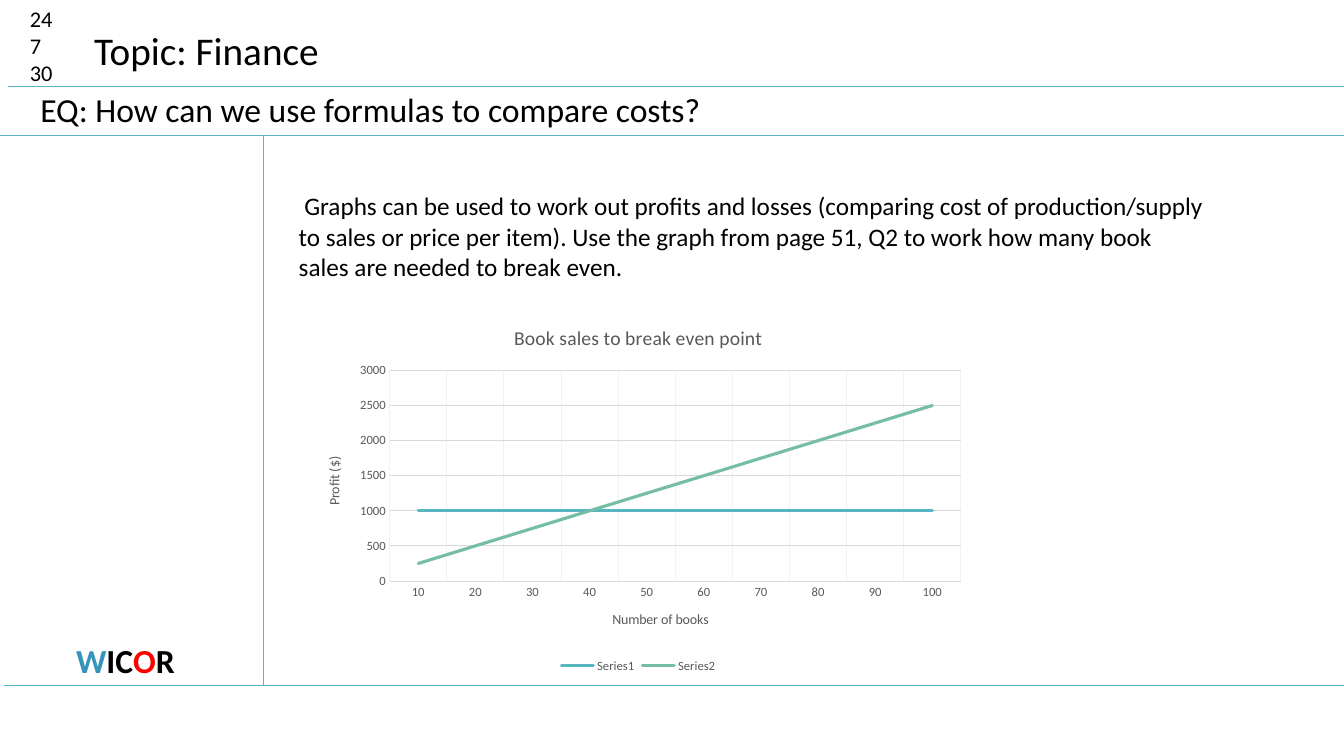
from lxml import etree
from pptx import Presentation
from pptx.chart.data import CategoryChartData
from pptx.dml.color import RGBColor
from pptx.enum.chart import XL_CHART_TYPE, XL_LEGEND_POSITION, XL_TICK_MARK
from pptx.enum.shapes import MSO_CONNECTOR
from pptx.enum.text import MSO_ANCHOR, PP_ALIGN
from pptx.oxml import parse_xml
from pptx.oxml.ns import nsdecls, qn
from pptx.util import Emu, Pt

LINE_CHART = XL_CHART_TYPE.LINE
LEGEND_BOTTOM = XL_LEGEND_POSITION.BOTTOM
NO_TICKS = XL_TICK_MARK.NONE
STRAIGHT = MSO_CONNECTOR.STRAIGHT
TOP = MSO_ANCHOR.TOP
LEFT, CENTER = PP_ALIGN.LEFT, PP_ALIGN.CENTER

FONT = "Calibri"
COLORS = {
    "text": "000000", "rule": "58B6C0", "blue": "3494BA", "red": "FF0000",
    "label": "595959", "grid": "D9D9D9", "faint": "F2F2F2",
    "costs": "58B6C0", "sales": "75BDA7",
}
WIDTH, HEIGHT = 1280, 720
HEADER_RULE, QUESTION_RULE, FOOTER_RULE, MARGIN_RULE = 82, 129, 653, 251


def px(length):
    return Emu(length * 9525)


def color(name):
    return RGBColor.from_string(COLORS[name])


def style_font(font, size, name="text", bold=False):
    font.name = FONT
    font.size = Pt(size)
    font.bold = bold
    font.color.rgb = color(name)


def fill_text(shape, paragraphs, size, align=LEFT, bold=False, wrap=True):
    """Each paragraph is a list of (text, colour name) runs."""
    frame = shape.text_frame
    frame.word_wrap = wrap
    frame.vertical_anchor = TOP
    for index, runs in enumerate(paragraphs):
        paragraph = frame.add_paragraph() if index else frame.paragraphs[0]
        paragraph.alignment = align
        for text, name in runs:
            run = paragraph.add_run()
            run.text = text
            style_font(run.font, size, name, bold)


def add_text(slide, box, paragraphs, size, **options):
    shape = slide.shapes.add_textbox(*map(px, box))
    fill_text(shape, paragraphs, size, **options)


def add_rule(slide, *ends):
    rule = slide.shapes.add_connector(STRAIGHT, *map(px, ends))
    rule.line.color.rgb = color("rule")
    rule.line.width = Pt(0.75)
    etree.SubElement(rule._element.spPr, qn("a:effectLst"))


def add_page_rules(slide):
    add_rule(slide, 8, HEADER_RULE, WIDTH, HEADER_RULE)
    add_rule(slide, 0, QUESTION_RULE, WIDTH, QUESTION_RULE)
    add_rule(slide, MARGIN_RULE, QUESTION_RULE, MARGIN_RULE, FOOTER_RULE)
    add_rule(slide, 4, FOOTER_RULE, WIDTH, FOOTER_RULE)


def add_header(slide, left, top):
    date = [[(part, "text")] for part in ("24", "7", "30")]
    add_text(slide, (left, top, 60, 87), date, 16)
    title = slide.shapes.title
    title.left, title.top, title.width, title.height = map(
        px, (left + 61, top + 20, 235, 55))
    fill_text(title, [[("Topic: Finance", "text")]], 28, wrap=False)
    question = "EQ: How can we use formulas to compare costs?"
    add_text(slide, (left + 10, top + 80, 1117, 52), [[(question, "text")]], 24)


def style_axis(axis, title, grid):
    style_font(axis.tick_labels.font, 9, "label")
    axis.major_tick_mark = axis.minor_tick_mark = NO_TICKS
    axis.has_major_gridlines = True
    axis.major_gridlines.format.line.color.rgb = color(grid)
    axis.major_gridlines.format.line.width = Pt(0.75)
    add_chart_title(axis.axis_title, title, 10)


def add_chart_title(title, text, size):
    run = title.text_frame.paragraphs[0].add_run()
    run.text = text
    style_font(run.font, size, "label")


def set_plot_layout(chart, **fractions):
    """Fix the inner plot area as fractions of the chart's size."""
    parts = "".join(f'<c:{key} val="{value}"/>' for key, value in fractions.items())
    layout = parse_xml(
        f'<c:layout {nsdecls("c")}><c:manualLayout><c:layoutTarget val="inner"/>'
        f'<c:xMode val="edge"/><c:yMode val="edge"/>{parts}'
        '</c:manualLayout></c:layout>')
    plot_area = chart._chartSpace.find(".//" + qn("c:plotArea"))
    for old_layout in plot_area.findall(qn("c:layout")):
        plot_area.remove(old_layout)
    plot_area.insert(0, layout)


def add_break_even_chart(slide, box):
    books = range(10, 101, 10)
    data = CategoryChartData()
    data.categories = [str(count) for count in books]
    data.add_series("Series1", [1000 for _ in books])
    data.add_series("Series2", [25 * count for count in books])
    chart = slide.shapes.add_chart(LINE_CHART, *map(px, box), data).chart
    style_font(chart.font, 10)
    chart.has_title = True
    add_chart_title(chart.chart_title, "Book sales to break even point", 14)
    chart.chart_title.include_in_layout = False

    style_axis(chart.category_axis, "Number of books", "faint")
    chart.category_axis.format.line.color.rgb = color("grid")
    chart.category_axis.format.line.width = Pt(0.75)
    style_axis(chart.value_axis, "Profit ($)", "grid")
    chart.value_axis.format.line.fill.background()
    chart.value_axis.minimum_scale = 0
    chart.value_axis.maximum_scale = 3000
    chart.value_axis.major_unit = 500

    chart.has_legend = True
    chart.legend.position = LEGEND_BOTTOM
    chart.legend.include_in_layout = False
    style_font(chart.legend.font, 9, "label")
    plot = chart.plots[0]
    plot.vary_by_categories = False
    for series, name in zip(plot.series, ("costs", "sales")):
        series.smooth = False
        series.format.line.color.rgb = color(name)
        series.format.line.width = Pt(2.25)
        series.format.line._ln.set("cap", "rnd")
    set_plot_layout(chart, x=0.13, y=0.17, w=0.85, h=0.57)


def add_notes_area(slide, left, top):
    explanation = (
        " Graphs can be used to work out profits and losses (comparing cost of "
        "production/supply to sales or price per item). Use the graph from page "
        "51, Q2 to work how many book sales are needed to break even.")
    add_text(slide, (left, top, 883, 97), [[(explanation, "text")]], 18)
    add_break_even_chart(slide, (left + 13, top + 116, 640, 352))


def add_wicor_label(slide, box):
    letters = [("W", "blue"), ("IC", "text"), ("O", "red"), ("R", "text")]
    add_text(slide, box, [letters], 24, align=CENTER, bold=True)


def main():
    presentation = Presentation()
    presentation.slide_width, presentation.slide_height = px(WIDTH), px(HEIGHT)
    slide = presentation.slides.add_slide(
        presentation.slide_layouts.get_by_name("Title Only"))
    slide.background.fill.solid()
    slide.background.fill.fore_color.rgb = RGBColor.from_string("FFFFFF")
    add_page_rules(slide)
    add_header(slide, 19, 0)
    add_wicor_label(slide, (13, 605, 213, 48))
    add_notes_area(slide, 275, 177)
    presentation.save("out.pptx")


if __name__ == "__main__":
    main()
